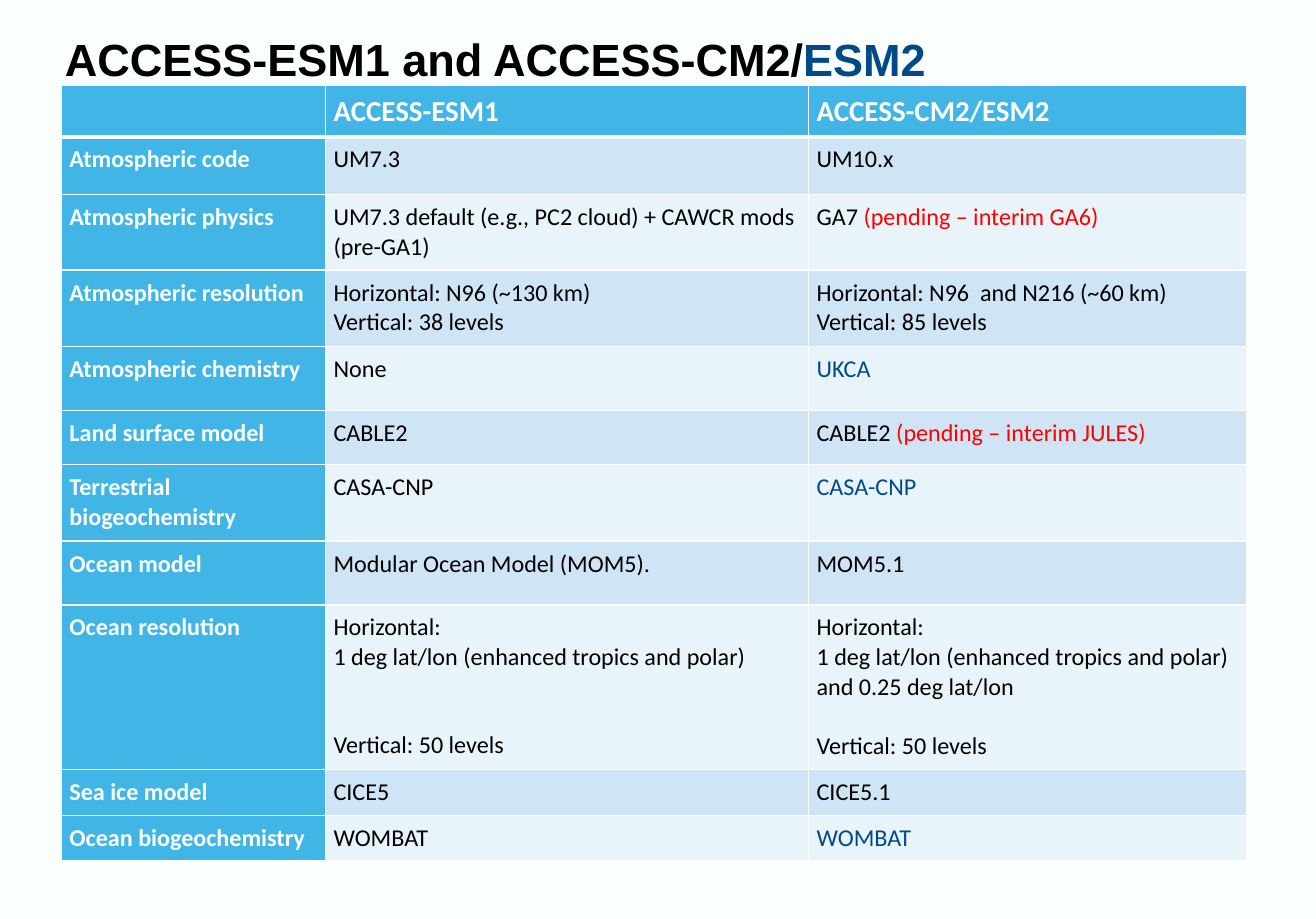
from lxml.etree import SubElement
from pptx import Presentation
from pptx.dml.color import RGBColor
from pptx.enum.text import MSO_ANCHOR as Anchor
from pptx.oxml.ns import qn
from pptx.util import Inches, Pt

PAPER, INK, NAVY, RED, SKY = "FBFEFF", "000000", "004B87", "FF0000", "41B6E6"
BANDS = ("CFE5F5", "E9F3FA")
SLIDE_SIZE = (11.36, 7.93)
TABLE_LEFT, TABLE_TOP = 0.53, 0.74
COLUMN_WIDTHS = (2.28, 4.17, 3.78)
ROW_HEIGHTS = (0.44, 0.5, 0.65, 0.66, 0.55, 0.47, 0.66, 0.55, 1.42, 0.4, 0.39)
LINE_POINTS = 18.3

TITLE = [("ACCESS-ESM1 and ACCESS-CM2/", INK), ("ESM2", NAVY)]
TITLE_FORMAT = {"size": Pt(28), "bold": True, "name": "Arial"}
HEADER_FORMAT = {"size": Pt(18), "bold": True, "name": "Calibri"}
LABEL_FORMAT = {"size": Pt(15), "bold": True, "name": "Calibri"}
BODY_FORMAT = {"size": Pt(15), "bold": False, "name": "Calibri"}

HEADERS = ("", "ACCESS-ESM1", "ACCESS-CM2/ESM2")
ROWS = [
    ("Atmospheric code", ["UM7.3"], ["UM10.x"]),
    ("Atmospheric physics",
     ["UM7.3 default (e.g., PC2 cloud) + CAWCR mods", "(pre-GA1)"],
     [[("GA7 ", INK), ("(pending – interim GA6)", RED)]]),
    ("Atmospheric resolution",
     ["Horizontal: N96 (~130 km)", "Vertical: 38 levels"],
     ["Horizontal: N96  and N216 (~60 km)", "Vertical: 85 levels"]),
    ("Atmospheric chemistry", ["None"], [[("UKCA", NAVY)]]),
    ("Land surface model", ["CABLE2"],
     [[("CABLE2 ", INK), ("(pending – interim JULES)", RED)]]),
    ("Terrestrial biogeochemistry", ["CASA-CNP"], [[("CASA-CNP", NAVY)]]),
    ("Ocean model", ["Modular Ocean Model (MOM5)."], ["MOM5.1"]),
    ("Ocean resolution",
     ["Horizontal:", "1 deg lat/lon (enhanced tropics and polar)",
      "Vertical: 50 levels"],
     ["Horizontal:", "1 deg lat/lon (enhanced tropics and polar)",
      "and 0.25 deg lat/lon", "Vertical: 50 levels"]),
    ("Sea ice model", ["CICE5"], ["CICE5.1"]),
    ("Ocean biogeochemistry", ["WOMBAT"], [[("WOMBAT", NAVY)]]),
]
LINES_SKIPPED_BEFORE_LAST = {(8, 1): 2, (8, 2): 1}


def color(value):
    return RGBColor.from_string(value)


def write_spans(para, spans, font_format):
    for text, ink in spans:
        span = para.add_run()
        span.text = text
        span.font.color.rgb = color(ink)
        for name, value in font_format.items():
            setattr(span.font, name, value)


def write_lines(frame, lines, ink, font_format):
    for index, line in enumerate(lines):
        para = frame.add_paragraph() if index else frame.paragraphs[0]
        spans = [(line, ink)] if isinstance(line, str) else line
        write_spans(para, spans, font_format)


def draw_borders(cell, row):
    widths = {"lnL": 1, "lnR": 1, "lnT": 3 if row == 1 else 1,
              "lnB": 3 if row == 0 else 1}
    properties = cell._tc.get_or_add_tcPr()
    for side, width in widths.items():
        border = SubElement(properties, qn(f"a:{side}"), w=str(Pt(width)))
        fill = SubElement(border, qn("a:solidFill"))
        SubElement(fill, qn("a:srgbClr"), val=PAPER)


def format_cell(cell, row, fill):
    for side in ("left", "top", "right", "bottom"):
        setattr(cell, f"margin_{side}", Inches(0.07))
    draw_borders(cell, row)
    cell.fill.solid()
    cell.fill.fore_color.rgb = color(fill)


def add_title(page):
    box = page.shapes.add_textbox(*map(Inches, (0.56, 0.32, 9.21, 0.42)))
    frame = box.text_frame
    frame.word_wrap = True
    frame.vertical_anchor = Anchor.BOTTOM
    for side in ("left", "top", "right", "bottom"):
        setattr(frame, f"margin_{side}", 0)
    para = frame.paragraphs[0]
    para.line_spacing = 0.9
    write_spans(para, TITLE, TITLE_FORMAT)


def add_comparison(page):
    table = page.shapes.add_table(
        len(ROW_HEIGHTS), len(COLUMN_WIDTHS),
        Inches(TABLE_LEFT), Inches(TABLE_TOP),
        Inches(sum(COLUMN_WIDTHS)), Inches(sum(ROW_HEIGHTS))).table
    for column, width in zip(table.columns, COLUMN_WIDTHS):
        column.width = Inches(width)
    for row, height in zip(table.rows, ROW_HEIGHTS):
        row.height = Inches(height)
    for row, contents in enumerate([HEADERS] + ROWS):
        for column, content in enumerate(contents):
            cell = table.cell(row, column)
            heading = row == 0 or column == 0
            format_cell(cell, row, SKY if heading else BANDS[(row - 1) % 2])
            if not content:
                continue
            lines = [content] if heading else content
            body_format = LABEL_FORMAT if column == 0 else BODY_FORMAT
            write_lines(cell.text_frame, lines, PAPER if heading else INK,
                        HEADER_FORMAT if row == 0 else body_format)
    for position, count in LINES_SKIPPED_BEFORE_LAST.items():
        para = table.cell(*position).text_frame.paragraphs[-1]
        para.space_before = Pt(count * LINE_POINTS)


def main():
    deck = Presentation()
    deck.slide_width, deck.slide_height = map(Inches, SLIDE_SIZE)
    page = deck.slides.add_slide(deck.slide_layouts[6])
    page.background.fill.solid()
    page.background.fill.fore_color.rgb = color(PAPER)
    add_title(page)
    add_comparison(page)
    deck.save("out.pptx")


if __name__ == "__main__":
    main()
